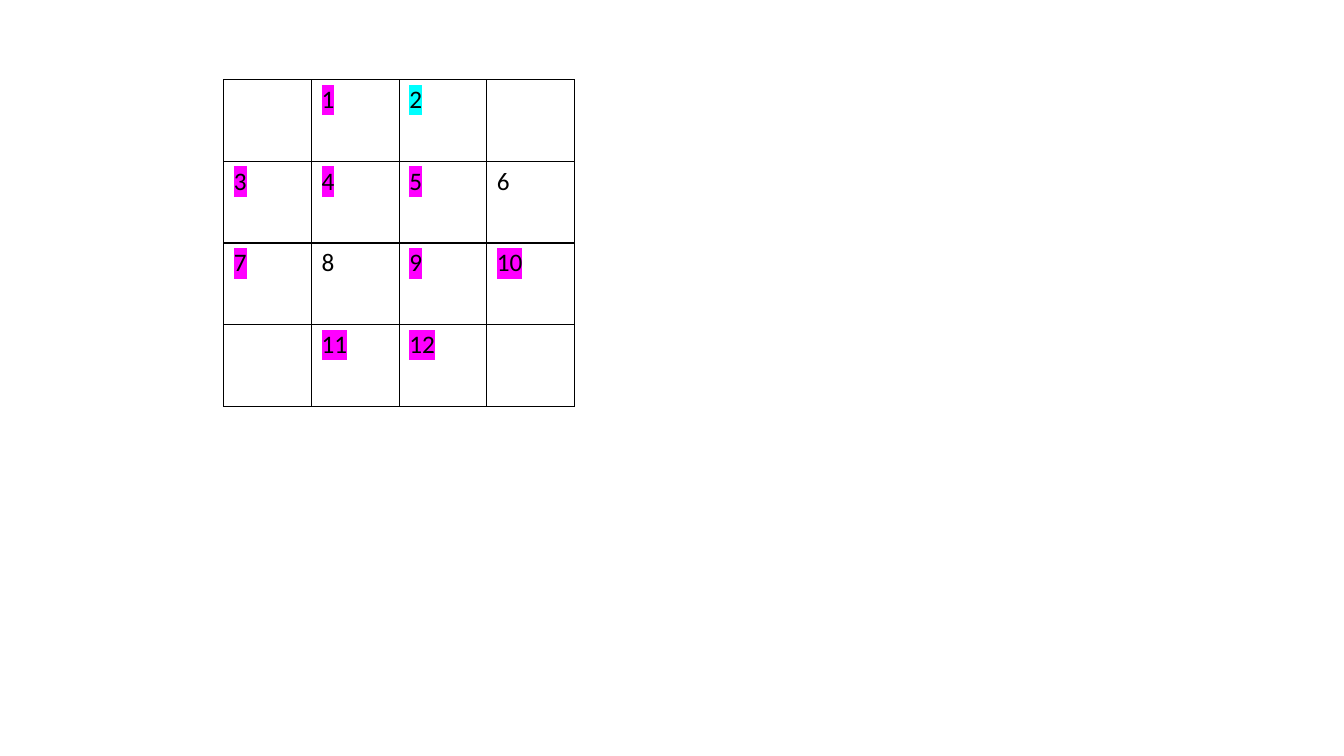
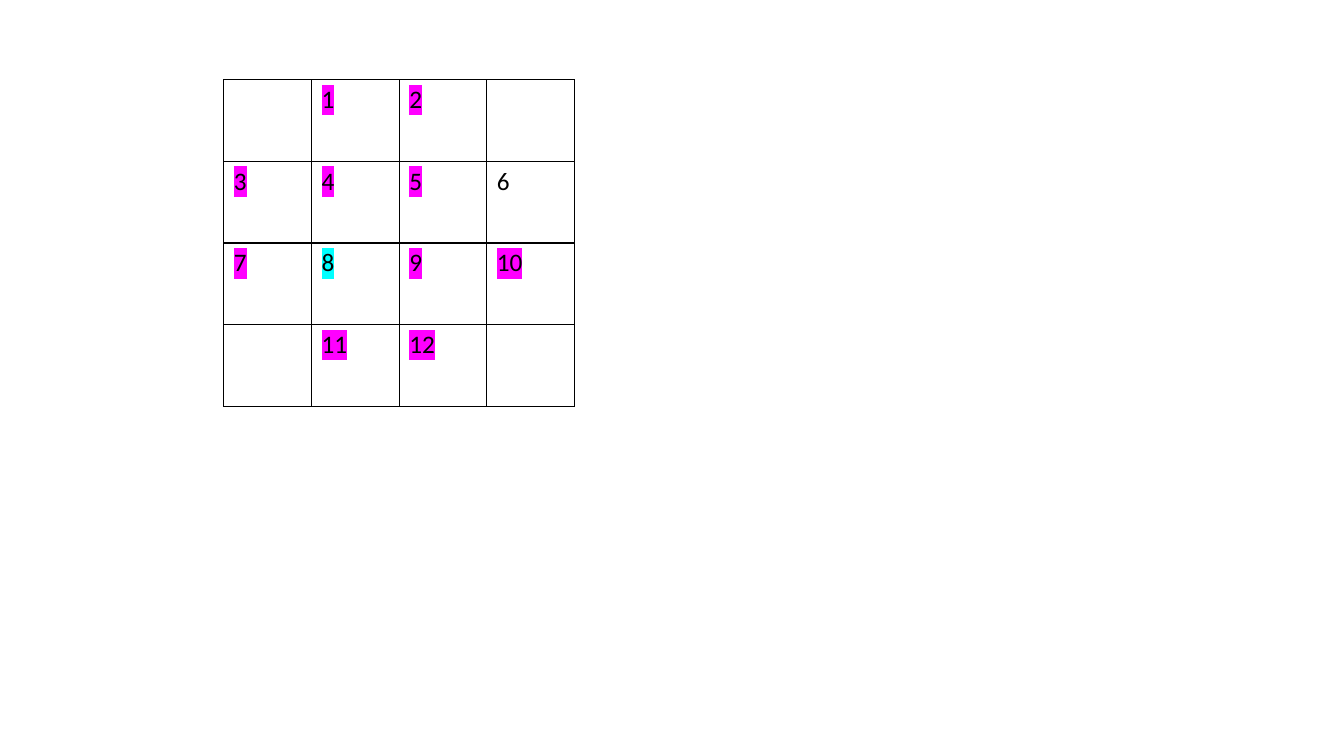
from dataclasses import dataclass

from lxml.etree import SubElement
from pptx import Presentation
from pptx.dml.color import RGBColor
from pptx.oxml import parse_xml
from pptx.oxml.ns import nsdecls, qn
from pptx.slide import Slide
from pptx.table import _Cell as Cell
from pptx.util import Inches, Pt


# Colours and type
@dataclass(frozen=True)
class Theme:
    font: str = "Calibri"
    size: int = 18
    ink: str = "000000"
    done: str = "FF00FF"
    fresh: str = "00FFFF"
    rule: int = 1


# One board: the newest number and those already marked
@dataclass(frozen=True)
class Board:
    fresh: int
    done: frozenset[int]


THEME = Theme()
LEFT, TOP = 2.22, 0.79
WIDE, HIGH = 0.87, 0.81
GRID = (
    (None, 1, 2, None),
    (3, 4, 5, 6),
    (7, 8, 9, 10),
    (None, 11, 12, None),
)
FIRST = frozenset(range(1, 13)) - {2, 6, 8}
BOARDS = (Board(2, FIRST), Board(8, FIRST | {2}))


def write(cell: Cell, text: str, *, size: int = THEME.size,
          color: str = THEME.ink, mark: str | None = None) -> None:
    """Put text in a cell, with an optional highlight."""
    run = cell.text_frame.paragraphs[0].add_run()
    run.text = text
    font = run.font
    font.size = Pt(size)
    font.color.rgb = RGBColor.from_string(color)
    if mark:
        light = SubElement(run._r.get_or_add_rPr(), qn("a:highlight"))
        SubElement(light, qn("a:srgbClr"), val=mark)
    font.name = THEME.font


def frame(cell: Cell) -> None:
    """Clear the fill and rule all four sides."""
    cell.fill.background()
    props = cell._tc.get_or_add_tcPr()
    for spot, side in enumerate("LRTB"):
        props.insert(spot, parse_xml(
            f'<a:ln{side} {nsdecls("a")} w="{Pt(THEME.rule)}"><a:solidFill>'
            f'<a:srgbClr val="{THEME.ink}"/></a:solidFill></a:ln{side}>'))


def draw(slide: Slide, board: Board) -> None:
    """Draw the number grid with the marks of one board."""
    rows, cols = len(GRID), len(GRID[0])
    table = slide.shapes.add_table(
        rows, cols, Inches(LEFT), Inches(TOP),
        Inches(WIDE * cols), Inches(HIGH * rows)).table
    table.first_row = table.horz_banding = False
    for y, row in enumerate(GRID):
        for x, num in enumerate(row):
            cell = table.cell(y, x)
            frame(cell)
            if num is None:
                continue
            mark = THEME.done if num in board.done else None
            if num == board.fresh:
                mark = THEME.fresh
            write(cell, str(num), mark=mark)


def main() -> None:
    deck = Presentation()
    deck.slide_width, deck.slide_height = Inches(13.33), Inches(7.5)
    for board in BOARDS:
        draw(deck.slides.add_slide(deck.slide_layouts[6]), board)
    deck.save("out.pptx")


if __name__ == "__main__":
    main()
